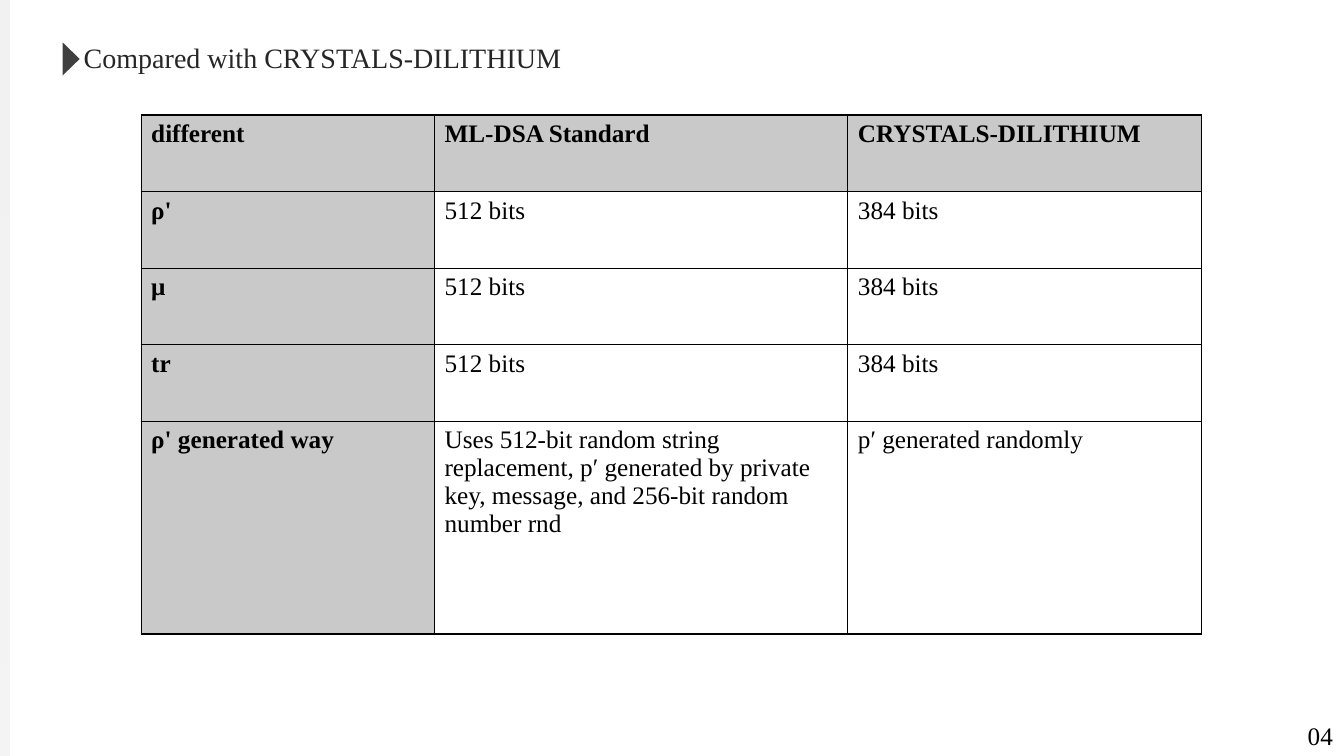
from lxml import etree
from pptx import Presentation
from pptx.dml.color import RGBColor
from pptx.enum.shapes import MSO_SHAPE
from pptx.enum.text import MSO_ANCHOR, MSO_AUTO_SIZE, PP_ALIGN
from pptx.oxml.ns import qn
from pptx.util import Inches, Pt

RECTANGLE, TRIANGLE = MSO_SHAPE.RECTANGLE, MSO_SHAPE.ISOSCELES_TRIANGLE
TOP, NO_AUTOFIT = MSO_ANCHOR.TOP, MSO_AUTO_SIZE.NONE
LEFT, CENTER = PP_ALIGN.LEFT, PP_ALIGN.CENTER

BLACK = RGBColor(0x00, 0x00, 0x00)
WHITE = RGBColor(0xFF, 0xFF, 0xFF)
TITLE_GREY = RGBColor(0x26, 0x26, 0x26)
MARKER_GREY = RGBColor(0x3F, 0x3F, 0x3F)
HEADER_GREY = RGBColor(0xC9, 0xC9, 0xC9)
BACKDROP_GREY = RGBColor(0xF2, 0xF2, 0xF2)

FONT = "Times New Roman"
SLIDE_WIDTH, SLIDE_HEIGHT = 13.33, 7.5
COLUMN_WIDTHS = [2.91, 4.1, 3.51]
ROW_HEIGHTS = [0.76] * 4 + [2.11]
BORDER_TAGS = ("a:lnL", "a:lnR", "a:lnT", "a:lnB")

COMPARISON = [
    ("different", "ML-DSA Standard", "CRYSTALS-DILITHIUM"),
    *((symbol, "512 bits", "384 bits") for symbol in ("ρ'", "μ", "tr")),
    (
        "ρ' generated way",
        "Uses 512-bit random string replacement, p′ generated by private key, "
        "message, and 256-bit random number rnd",
        "p′ generated randomly",
    ),
]


def box(left, top, width, height):
    return [Inches(length) for length in (left, top, width, height)]


def write(frame, text, size, color, align=LEFT, bold=False):
    paragraph = frame.paragraphs[0]
    paragraph.alignment = align
    run = paragraph.add_run()
    run.text = text
    for attribute, value in {"name": FONT, "size": Pt(size), "bold": bold}.items():
        setattr(run.font, attribute, value)
    run.font.color.rgb = color


def paint(fill, color):
    fill.solid()
    fill.fore_color.rgb = color


def add_plain_shape(slide, preset, place, color):
    """Add a filled shape without outline or shadow."""
    shape = slide.shapes.add_shape(preset, *place)
    shape.shadow.inherit = False
    shape.line.fill.background()
    paint(shape.fill, color)
    return shape


def add_backdrop(slide):
    """Lay a fading grey sheet, then a white panel that leaves its left edge bare."""
    backdrop, _ = (
        add_plain_shape(slide, RECTANGLE, box(left, 0, SLIDE_WIDTH, SLIDE_HEIGHT), color)
        for left, color in ((0, BACKDROP_GREY), (0.1, WHITE))
    )
    backdrop.fill.gradient()
    backdrop.fill.gradient_angle = 270
    for stop in backdrop.fill.gradient_stops:
        stop.color.rgb = BACKDROP_GREY
    last_color = backdrop.element.findall(".//" + qn("a:gs"))[-1][0]
    etree.SubElement(last_color, qn("a:alpha"), val="76000")


def add_heading(slide, text):
    title = slide.shapes.title
    title.element.getparent().append(title.element)  # in front of the white panel
    title.left, title.top, title.width, title.height = box(0.73, 0.35, 5.05, 0.44)
    frame = title.text_frame
    layout = {"word_wrap": False, "auto_size": NO_AUTOFIT, "vertical_anchor": TOP}
    for attribute, value in layout.items():
        setattr(frame, attribute, value)
    write(frame, text, 20, TITLE_GREY)

    marker = add_plain_shape(slide, TRIANGLE, box(0.54, 0.5, 0.33, 0.17), MARKER_GREY)
    marker.rotation = 90


def draw_borders(cell):
    properties = cell._tc.get_or_add_tcPr()
    for position, tag in enumerate(BORDER_TAGS):
        line = etree.Element(qn(tag), w=str(Pt(1)))
        fill = etree.SubElement(line, qn("a:solidFill"))
        etree.SubElement(fill, qn("a:srgbClr"), val=str(BLACK))
        properties.insert(position, line)


def add_comparison_table(slide, rows):
    place = box(1.4, 1.14, sum(COLUMN_WIDTHS), sum(ROW_HEIGHTS))
    table = slide.shapes.add_table(len(rows), len(COLUMN_WIDTHS), *place).table
    table.horz_banding = False
    for column, width in zip(table.columns, COLUMN_WIDTHS):
        column.width = Inches(width)
    for row, height in zip(table.rows, ROW_HEIGHTS):
        row.height = Inches(height)

    for r, texts in enumerate(rows):
        for c, text in enumerate(texts):
            cell = table.cell(r, c)
            is_header = r == 0 or c == 0
            if is_header:
                paint(cell.fill, HEADER_GREY)
            else:
                cell.fill.background()
            write(cell.text_frame, text, 18, BLACK, bold=is_header)
            draw_borders(cell)


def add_page_number(slide, number):
    width, height = 0.47, 0.4
    place = box(SLIDE_WIDTH - width, SLIDE_HEIGHT - height, width, height)
    frame = slide.shapes.add_textbox(*place).text_frame
    frame.word_wrap = True
    write(frame, number, 18, BLACK, CENTER)


def main():
    deck = Presentation()
    deck.slide_width, deck.slide_height = Inches(SLIDE_WIDTH), Inches(SLIDE_HEIGHT)
    slide = deck.slides.add_slide(deck.slide_layouts.get_by_name("Title Only"))
    add_backdrop(slide)
    add_heading(slide, "Compared with CRYSTALS-DILITHIUM")
    add_page_number(slide, "04")
    add_comparison_table(slide, COMPARISON)
    deck.save("out.pptx")


if __name__ == "__main__":
    main()
